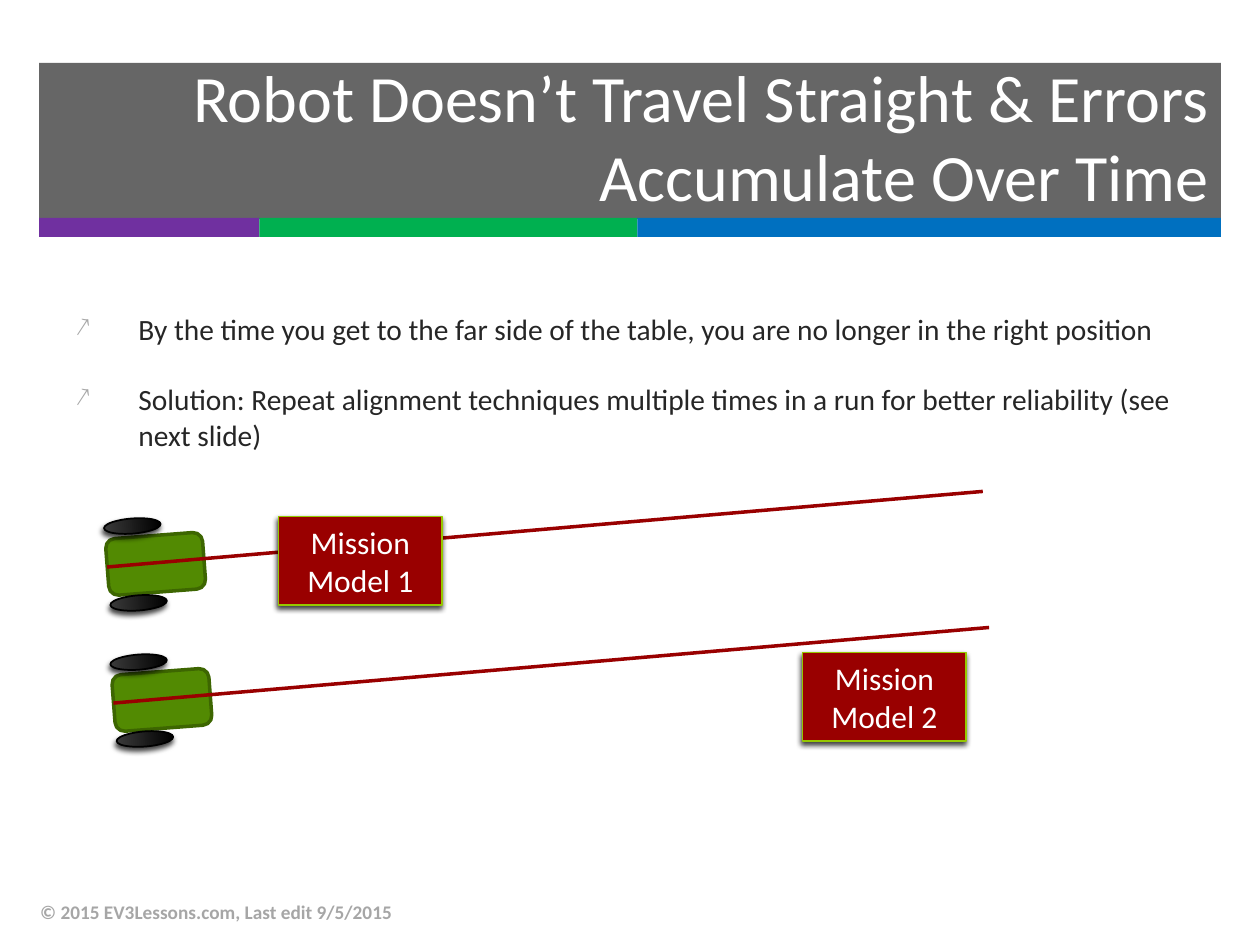
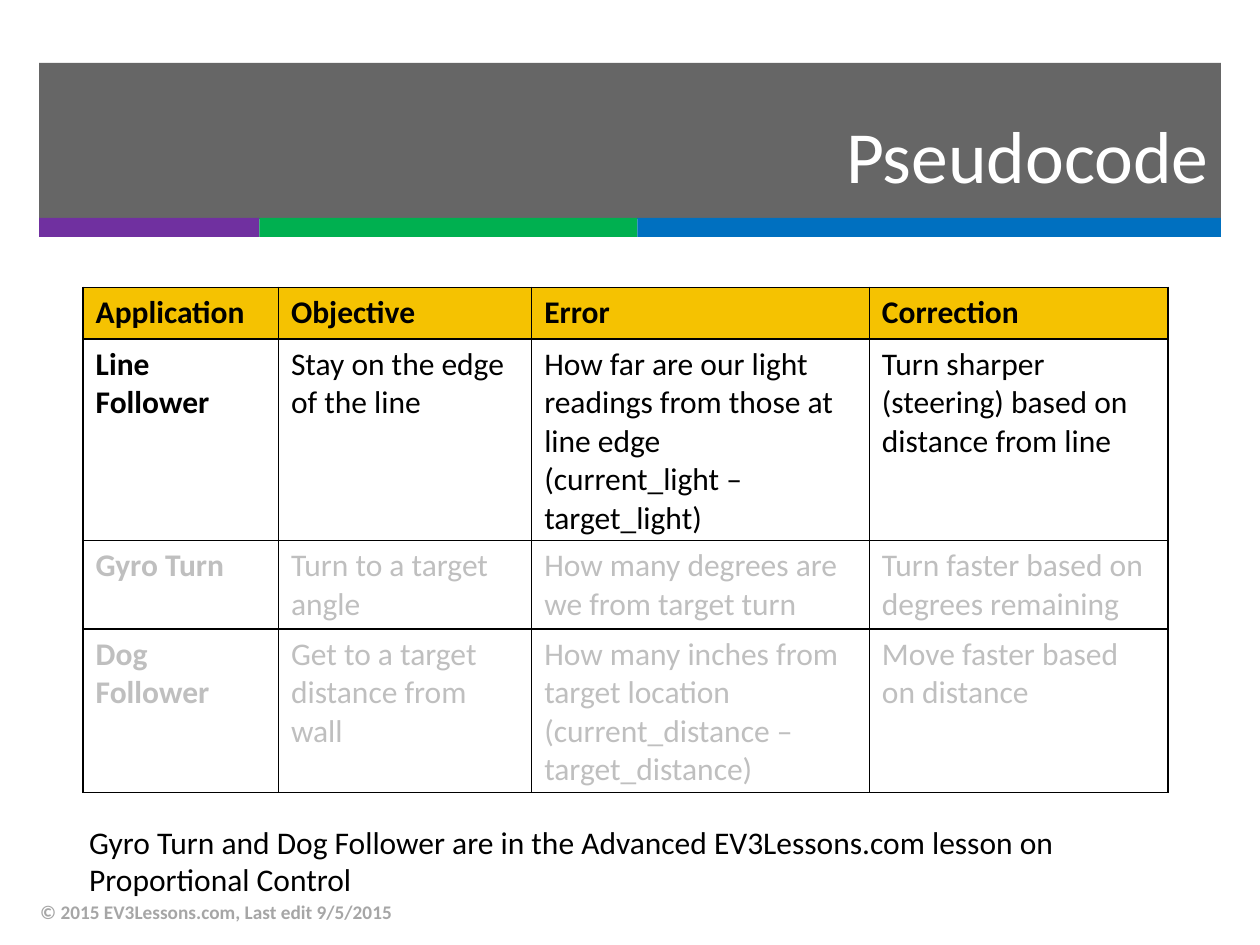
from typing import NamedTuple

from lxml import etree
from pptx import Presentation
from pptx.dml.color import RGBColor
from pptx.enum.shapes import MSO_CONNECTOR, MSO_SHAPE
from pptx.enum.text import MSO_ANCHOR, PP_ALIGN
from pptx.oxml.ns import qn
from pptx.util import Emu, Inches, Pt

RECT, ROUND, OVAL = MSO_SHAPE.RECTANGLE, MSO_SHAPE.ROUNDED_RECTANGLE, MSO_SHAPE.OVAL
STRAIGHT = MSO_CONNECTOR.STRAIGHT
LEFT, CENTER, RIGHT = PP_ALIGN.LEFT, PP_ALIGN.CENTER, PP_ALIGN.RIGHT
TOP, MIDDLE = MSO_ANCHOR.TOP, MSO_ANCHOR.MIDDLE
BOTTOM_SIDE = 2

FONT = "Calibri"
COLORS = {
    "white": "FFFFFF", "black": "000000", "dark": "262626", "muted": "A6A6A6",
    "faded": "BFBFBF", "purple": "7030A0", "green": "00B050", "blue": "0070C0",
    "header": "F5C201", "body": "528A02", "body_edge": "3D6601", "tire": "3B3B3B",
    "red": "990000", "lime": "96C800",
}
FOOTER = "© 2015 EV3Lessons.com, Last edit 9/5/2015"
STRIPES = [("purple", 17.5), ("green", 30), ("blue", 46.3)]
HEADING = 85.6  # rotation of the robots, in degrees
BULLETS = [
    "By the time you get to the far side of the table, you are no longer in the right position",
    "Solution: Repeat alignment techniques multiple times in a run for better reliability "
    "(see next slide)",
]
APPLICATIONS = [
    ["Application", "Objective", "Error", "Correction"],
    ["Line Follower", "Stay on the edge of the line",
     "How far are our light readings from those at line edge\n(current_light – target_light)",
     "Turn sharper (steering) based on distance from line"],
    ["Gyro Turn", "Turn to a target angle", "How many degrees are we from target turn",
     "Turn faster based on degrees remaining"],
    ["Dog Follower", "Get to a target distance from wall",
     "How many inches from target location (current_distance – target_distance)",
     "Move faster based on distance"],
]
ROW_COLORS = ["black", "black", "faded", "faded"]


def grid(units):
    """Length of a number of cells in the slide's grid of 100 columns and 75 rows."""
    return Emu(round(units * Inches(0.1)))


class Box(NamedTuple):
    x: float
    y: float
    w: float
    h: float

    def inner(self, dx, dy, w, h):
        return Box(self.x + dx, self.y + dy, w, h)

    def emu(self):
        return [grid(v) for v in self]


BAND = Box(3.1, 5, 93.8, 13.8)


def rgb(name):
    return RGBColor.from_string(COLORS[name])


def add(parent, tag, **attrs):
    return etree.SubElement(parent, qn(tag), {k: str(v) for k, v in attrs.items()})


def add_run(p, text, size, color, bold=False):
    r = p.add_run()
    r.text = text
    r.font.name, r.font.size, r.font.bold = FONT, Pt(size), bold
    r.font.color.rgb = rgb(color)


def write(tf, text, size, color, bold=False, align=LEFT, anchor=TOP):
    tf.word_wrap = True
    tf.vertical_anchor = anchor
    p = tf.paragraphs[0]
    p.alignment = align
    add_run(p, text, size, color, bold)


def text_box(s, box, *args, **style):
    write(s.shapes.add_textbox(*box.emu()).text_frame, *args, **style)


def add_shape(shapes, kind, box, fill, line=None, width=1, rotation=0):
    sp = shapes.add_shape(kind, *box.emu())
    sp.shadow.inherit = False
    sp.rotation = rotation
    sp.fill.solid()
    sp.fill.fore_color.rgb = rgb(fill)
    if line:
        sp.line.color.rgb = rgb(line)
        sp.line.width = Pt(width)
    else:
        sp.line.fill.background()
    return sp


def add_shadow(sp):
    effects = sp._element.spPr.find(qn("a:effectLst"))
    shadow = add(effects, "a:outerShdw", blurRad=Pt(3), dist=Pt(2), dir=110 * 60000,
                 rotWithShape=0)
    color = add(shadow, "a:srgbClr", val=COLORS["black"])
    add(color, "a:alpha", val=75000)


def title_band(s, box, title, title_box, size):
    """Translucent band with the title, and three stripes along its foot."""
    stripe_h = 1.5
    band = add_shape(s.shapes, RECT, box.inner(0, 0, box.w, box.h - stripe_h + 0.1), "dark")
    color = band._element.spPr.find(qn("a:solidFill")).find(qn("a:srgbClr"))
    add(color, "a:alpha", val=70000)
    dx = 0
    for name, w in STRIPES:
        add_shape(s.shapes, RECT, box.inner(dx, box.h - stripe_h, w, stripe_h), name)
        dx += w
    text_box(s, title_box, title, size, "white", align=RIGHT, anchor=MIDDLE)


def footer(s, box):
    text_box(s, box, FOOTER, 11, "muted", bold=True, anchor=MIDDLE)


def bullet_list(s, box, items):
    tf = s.shapes.add_textbox(*box.emu()).text_frame
    tf.word_wrap = True
    for i, item in enumerate(items):
        p = tf.add_paragraph() if i else tf.paragraphs[0]
        p.space_before = Pt(20 if i else 0)
        pPr = p._p.get_or_add_pPr()
        pPr.set("marL", str(grid(5)))
        pPr.set("indent", str(-grid(5)))
        add(add(pPr, "a:buClr"), "a:srgbClr", val=COLORS["muted"])
        add(pPr, "a:buSzPct", val=90000)
        add(pPr, "a:buChar", char="↗")
        add_run(p, item, 16.8, "dark")


def robot(s, box):
    """Green body between two wheels; returns the body."""
    shapes = s.shapes.add_group_shape().shapes
    body = add_shape(shapes, ROUND, box.inner(1.6, 1.9, 4.5, 7.7), "body", "body_edge", 2, HEADING)
    for dx, dy in [(1.4, 0.5), (1.9, 6.6)]:
        wheel = add_shape(shapes, OVAL, box.inner(dx, dy, 1.2, 4.5), "tire", "black", 1, HEADING)
        wheel.fill.gradient()
        wheel.fill.gradient_angle = 90
        for stop, name in zip(wheel.fill.gradient_stops, ("tire", "black")):
            stop.color.rgb = rgb(name)
        add_shadow(wheel)
    return body


def robot_run(s, box, mission, mission_dx):
    """A robot, the path it drifts along and the mission model it should reach."""
    body = robot(s, box)
    x, y = box.x, box.y + 6
    path_line = s.shapes.add_connector(STRAIGHT, grid(x), grid(y), grid(x + box.w), grid(box.y))
    path_line.begin_connect(body, BOTTOM_SIDE)
    path_line.begin_x, path_line.begin_y = grid(x), grid(y)  # middle of the rotated side
    path_line.line.color.rgb = rgb("red")
    path_line.line.width = Pt(2)
    add(path_line._element.spPr, "a:effectLst")
    sp = add_shape(s.shapes, RECT, box.inner(mission_dx, 2, 13, 7), "red", "lime")
    add_shadow(sp)
    write(sp.text_frame, mission, 18, "white", align=CENTER, anchor=MIDDLE)


def set_borders(cell):
    tcPr = cell._tc.get_or_add_tcPr()
    for i, side in enumerate(("L", "R", "T", "B")):
        ln = etree.Element(qn(f"a:ln{side}"), w=str(Pt(1)))
        add(add(ln, "a:solidFill"), "a:srgbClr", val=COLORS["black"])
        tcPr.insert(i, ln)


def applications_table(s, box, col_widths):
    rows = len(APPLICATIONS)
    table = s.shapes.add_table(rows, len(col_widths), *box.emu()).table
    table.horz_banding = False
    for col, w in zip(table.columns, col_widths):
        col.width = grid(w)
    for i, texts in enumerate(APPLICATIONS):
        table.rows[i].height = grid(box.h / rows)
        for j, text in enumerate(texts):
            cell = table.cell(i, j)
            if i == 0:
                cell.fill.solid()
                cell.fill.fore_color.rgb = rgb("header")
            else:
                cell.fill.background()
            p = cell.text_frame.paragraphs[0]
            for k, line in enumerate(text.split("\n")):
                if k:
                    p.add_line_break()
                add_run(p, line, 18, ROW_COLORS[i], bold=i == 0 or j == 0)
            set_borders(cell)


def new_slide(prs, title, title_box, size):
    s = prs.slides.add_slide(prs.slide_layouts[6])
    title_band(s, BAND, title, title_box, size)
    footer(s, Box(2.2, 70.4, 67, 4))
    return s


def drift_slide(prs):
    s = new_slide(prs, "Robot Doesn’t Travel Straight & Errors Accumulate Over Time",
                  Box(5, 5.3, 91.9, 10.9), 37.8)
    bullet_list(s, Box(5, 24.2, 91.9, 12.9), BULLETS)
    robot_run(s, Box(8.5, 39, 69.5, 10), "Mission Model 1", 13.6)
    robot_run(s, Box(9, 49.8, 69.5, 10), "Mission Model 2", 54.7)


def pseudocode_slide(prs):
    s = new_slide(prs, "Pseudocode", Box(3.1, 6.9, 93.8, 10.6), 42)
    applications_table(s, Box(6.6, 22.8, 86.1, 16.4), [15.5, 20.1, 26.8, 23.7])
    text_box(s, Box(6.1, 64.8, 86.8, 7.1),
             "Gyro Turn and Dog Follower are in the Advanced EV3Lessons.com lesson on "
             "Proportional Control", 18, "black")


def main():
    prs = Presentation()
    prs.slide_width, prs.slide_height = grid(100), grid(75)
    drift_slide(prs)
    pseudocode_slide(prs)
    prs.save("out.pptx")


if __name__ == "__main__":
    main()
